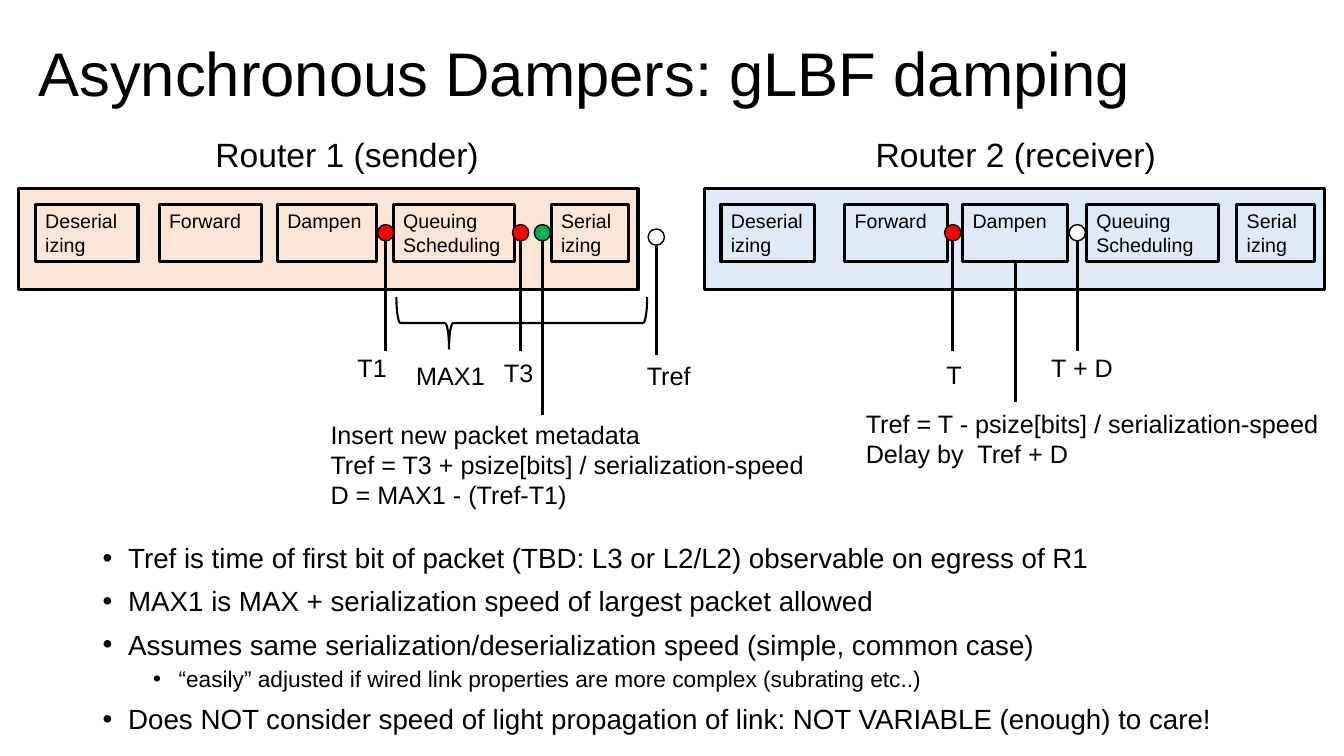
from dataclasses import dataclass
from typing import NamedTuple

import pptx
import pptx.dml.color
import pptx.enum.shapes
import pptx.enum.text
import pptx.oxml.ns
import pptx.util
from lxml import etree

Cm = pptx.util.Cm
Pt = pptx.util.Pt
Kind = pptx.enum.shapes.MSO_SHAPE
Fit = pptx.enum.text.MSO_AUTO_SIZE
Anchor = pptx.enum.text.MSO_ANCHOR
Align = pptx.enum.text.PP_ALIGN


@dataclass(frozen=True)
class Theme:
    """Colours, font and type sizes of the slide."""
    font: str = "Arial"
    ink: str = "000000"
    peach: str = "FBE5D6"
    sky: str = "DEEBF7"
    red: str = "FF0000"
    green: str = "00B050"
    white: str = "FFFFFF"
    title: float = 44
    head: float = 24
    label: float = 18
    stage: float = 14
    point: float = 19.8
    minor: float = 16.2
    bold: float = 2.25
    brace: float = 1.5
    thin: float = 1


class Stage(NamedTuple):
    """One step inside a router."""
    text: str
    left: float
    width: float


class Router(NamedTuple):
    """A router frame with its stages."""
    left: float
    fill: str
    stages: list[Stage]


class Marker(NamedTuple):
    """A dot with a stem hanging from it."""
    mid: float
    top: float
    end: float
    fill: str


class Label(NamedTuple):
    """A free text on the slide."""
    text: str
    left: float
    top: float
    width: float
    height: float
    size: float


class Point(NamedTuple):
    """A line of the bullet list."""
    text: str
    level: int = 0


THEME = Theme()
FRAME_TOP, FRAME_W, FRAME_H = 4.76, 15.62, 2.54
STAGE_TOP, STAGE_H = 5.15, 1.45
DOT = 0.41

ROUTERS = [
    Router(17.75, THEME.sky, [
        Stage("Deserial\nizing", 18.17, 2.36), Stage("Forward", 21.29, 2.59),
        Stage("Dampen", 24.26, 2.64), Stage("Queuing\nScheduling", 27.38, 3.33),
        Stage("Serial\nizing", 31.17, 1.96)]),
    Router(0.46, THEME.peach, [
        Stage("Deserial\nizing", 0.89, 2.59), Stage("Forward", 4.01, 2.59),
        Stage("Dampen", 6.99, 2.49), Stage("Queuing\nScheduling", 9.91, 3.05),
        Stage("Serial\nizing", 13.89, 1.96)]),
]
MARKERS = [
    Marker(24.01, 5.66, 8.84, THEME.red),
    Marker(27.15, 5.66, 8.84, THEME.white),
    Marker(13.67, 5.66, 10.46, THEME.green),
    Marker(9.72, 5.66, 8.84, THEME.red),
    Marker(13.12, 5.66, 8.84, THEME.red),
    Marker(16.54, 5.77, 8.94, THEME.white),
]
LABELS = [
    Label("Router 1 (sender)", 5.18, 3.24, 7.2, 1.27, THEME.head),
    Label("Router 2 (receiver)", 21.82, 3.24, 7.6, 1.27, THEME.head),
    Label("T1", 8.76, 8.76, 1.4, 1.02, THEME.label),
    Label("MAX1", 10.24, 8.96, 2.3, 1.02, THEME.label),
    Label("T3", 12.45, 8.89, 1.4, 1.02, THEME.label),
    Label("Tref", 16.05, 8.95, 1.7, 1.02, THEME.label),
    Label("T", 23.6, 8.94, 0.95, 1.02, THEME.label),
    Label("T + D", 26.24, 8.76, 2.15, 1.02, THEME.label),
    Label("Insert new packet metadata\n"
          "Tref = T3 + psize[bits] / serialization-speed\n"
          "D = MAX1 - (Tref-T1)", 8.08, 10.44, 12.5, 2.54, THEME.label),
    Label("Tref = T - psize[bits] / serialization-speed\n"
          "Delay by  Tref + D", 21.57, 10.16, 12, 1.78, THEME.label),
]
POINTS = [
    Point("Tref is time of first bit of packet (TBD: L3 or L2/L2) observable on egress of R1"),
    Point("MAX1 is MAX + serialization speed of largest packet allowed"),
    Point("Assumes same serialization/deserialization speed (simple, common case)"),
    Point("“easily” adjusted if wired link properties are more complex (subrating etc..)", 1),
    Point("Does NOT consider speed of light propagation of link: NOT VARIABLE (enough) to care!"),
]


def tint(code: str) -> pptx.dml.color.RGBColor:
    """Turn a hex code into a colour."""
    return pptx.dml.color.RGBColor.from_string(code)


def style(para, size: float) -> None:
    """Set the font of a paragraph."""
    para.font.name = THEME.font
    para.font.size = Pt(size)
    para.font.color.rgb = tint(THEME.ink)


def write(frame, text: str, size: float) -> None:
    """Fill a text frame with left-set lines."""
    frame.text = text
    for para in frame.paragraphs:
        para.alignment = Align.LEFT
        style(para, size)


def draw(slide, kind, box: tuple, weight: float, fill: str | None = None):
    """Add an outlined shape; box is left, top, width, height in cm."""
    shape = slide.shapes.add_shape(kind, *map(Cm, box))
    shape.shadow.inherit = False
    if fill:
        shape.fill.solid()
        shape.fill.fore_color.rgb = tint(fill)
    else:
        shape.fill.background()
    shape.line.color.rgb = tint(THEME.ink)
    shape.line.width = Pt(weight)
    return shape


def stem(slide, mid: float, top: float, end: float) -> None:
    """Add an upright line."""
    line = slide.shapes.add_connector(
        pptx.enum.shapes.MSO_CONNECTOR.STRAIGHT, Cm(mid), Cm(top), Cm(mid), Cm(end))
    line.line.color.rgb = tint(THEME.ink)
    line.line.width = Pt(THEME.bold)
    etree.SubElement(line._element.spPr, pptx.oxml.ns.qn("a:effectLst"))


def route(slide, router: Router) -> None:
    """Add a router frame and its stages."""
    draw(slide, Kind.RECTANGLE, (router.left, FRAME_TOP, FRAME_W, FRAME_H),
         THEME.bold, router.fill)
    for stage in router.stages:
        shape = draw(slide, Kind.RECTANGLE,
                     (stage.left, STAGE_TOP, stage.width, STAGE_H), THEME.bold)
        shape.text_frame.vertical_anchor = Anchor.TOP
        write(shape.text_frame, stage.text, THEME.stage)


def mark(slide, item: Marker) -> None:
    """Add a dot and its stem."""
    draw(slide, Kind.OVAL, (item.mid - DOT / 2, item.top, DOT, DOT), THEME.thin, item.fill)
    stem(slide, item.mid, item.top + DOT, item.end)


def label(slide, item: Label) -> None:
    """Add a free text on unwrapped lines."""
    frame = slide.shapes.add_textbox(*map(Cm, item[1:5])).text_frame
    frame.word_wrap = False
    frame.auto_size = Fit.SHAPE_TO_FIT_TEXT
    write(frame, item.text, item.size)


def listing(slide, points: list[Point]) -> None:
    """Add the bullet list."""
    frame = slide.shapes.add_textbox(Cm(2.34), Cm(13.61), Cm(29.21), Cm(4.93)).text_frame
    frame.word_wrap = True
    frame.text = "\n".join(point.text for point in points)
    for para, point in zip(frame.paragraphs, points):
        para.level = point.level
        props = para._p.get_or_add_pPr()
        props.set("marL", str(Cm(0.64 + 1.27 * point.level)))
        props.set("indent", str(-Cm(0.64)))
        etree.SubElement(props, pptx.oxml.ns.qn("a:buFont"), typeface=THEME.font)
        etree.SubElement(props, pptx.oxml.ns.qn("a:buChar"), char="•")
        para.line_spacing = 0.88
        para.space_before = Pt(5 if point.level else 10)
        style(para, THEME.minor if point.level else THEME.point)


def head(slide, text: str) -> None:
    """Place and format the title."""
    title = slide.shapes.title
    title.left, title.top, title.width, title.height = map(Cm, (0.71, 0.46, 30.84, 2.95))
    frame = title.text_frame
    write(frame, text, THEME.title)
    frame.auto_size = Fit.NONE
    frame.vertical_anchor = Anchor.MIDDLE
    frame.paragraphs[0].line_spacing = 0.9


def main() -> None:
    """Build and save the slide."""
    deck = pptx.Presentation()
    deck.slide_width, deck.slide_height = Cm(33.87), Cm(19.05)
    slide = deck.slides.add_slide(deck.slide_layouts[5])
    head(slide, "Asynchronous Dampers: gLBF damping")
    for router in ROUTERS:
        route(slide, router)
    stem(slide, 25.6, STAGE_TOP + STAGE_H, 10.13)
    for item in MARKERS:
        mark(slide, item)
    brace = draw(slide, Kind.LEFT_BRACE, (12.5, 4.98, 1.3, 6.32), THEME.brace)
    brace.rotation = 270
    brace.adjustments[0], brace.adjustments[1] = 0.08, 0.21
    for item in LABELS:
        label(slide, item)
    listing(slide, POINTS)
    deck.save("out.pptx")


main()
